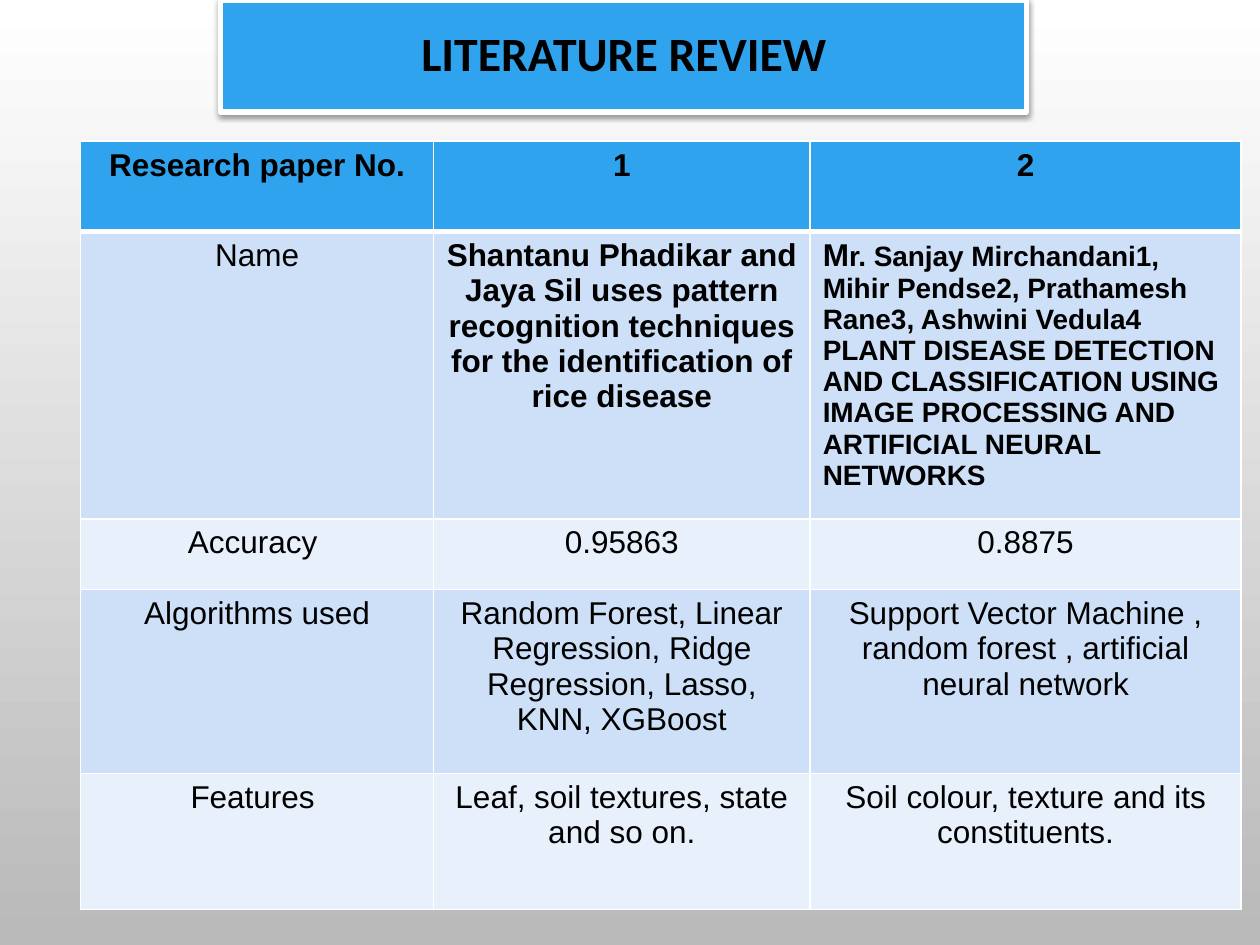
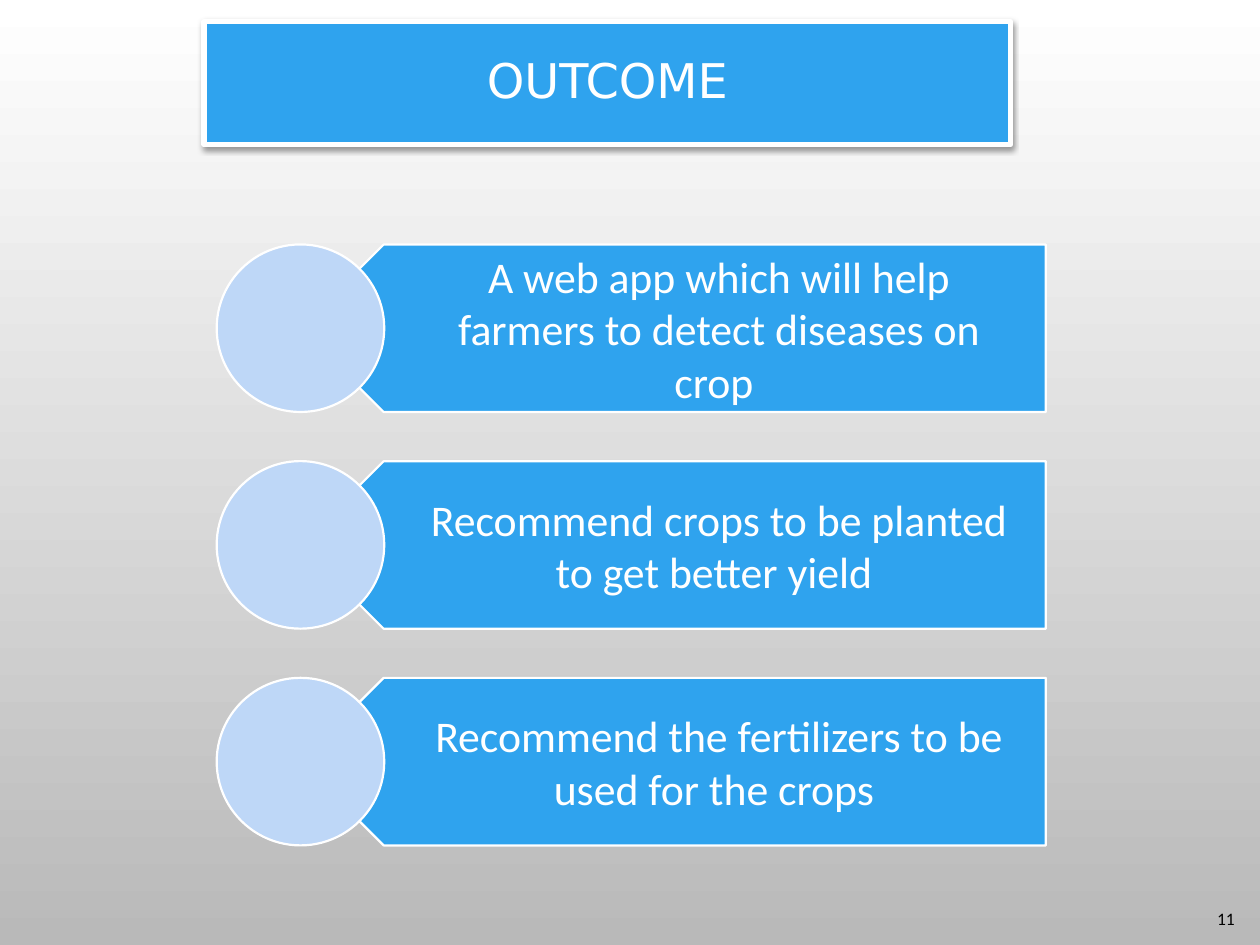
import pptx
import pptx.util
import pptx.dml.color
import pptx.enum.shapes
import pptx.enum.text
import pptx.oxml
import pptx.oxml.ns

Inches = pptx.util.Inches
Pt = pptx.util.Pt
RGBColor = pptx.dml.color.RGBColor
SHAPE = pptx.enum.shapes.MSO_SHAPE
ALIGN = pptx.enum.text.PP_ALIGN
ANCHOR = pptx.enum.text.MSO_ANCHOR

# Shared colours and fonts
BLUE = RGBColor(0x2F, 0xA3, 0xEE)
CIRCLE_BLUE = RGBColor(0xBE, 0xD7, 0xF7)
ROW_DARK = RGBColor(0xCD, 0xE0, 0xF8)
ROW_LIGHT = RGBColor(0xE8, 0xF0, 0xFC)
WHITE = RGBColor(0xFF, 0xFF, 0xFF)
BLACK = RGBColor(0, 0, 0)
GREY = RGBColor(0xB9, 0xB9, 0xB9)
BODY_FONT = "Calibri"
TITLE_FONT = "DejaVu Sans"
TABLE_FONT = "Arial"

COLUMN_WIDTHS = [2.8, 2.99, 3.42]
ROW_HEIGHTS = [0.72, 2.28, 0.56, 1.46, 1.08]
REVIEW_ROWS = [
    ["Research paper No.", "1", "2"],
    ["Name",
     "Shantanu Phadikar and Jaya Sil uses pattern recognition techniques "
     "for the identification of rice disease",
     "Mr. Sanjay Mirchandani1, Mihir Pendse2, Prathamesh Rane3, Ashwini Vedula4 "
     "PLANT DISEASE DETECTION AND CLASSIFICATION USING IMAGE PROCESSING AND "
     "ARTIFICIAL NEURAL NETWORKS"],
    ["Accuracy ", "0.95863", "0.8875"],
    ["Algorithms used",
     "Random Forest, Linear Regression, Ridge Regression, Lasso, KNN, XGBoost",
     "Support Vector Machine , random forest , artificial neural network"],
    ["Features ", "Leaf, soil textures, state and so on.",
     "Soil colour, texture and its constituents."],
]
OUTCOMES = [
    "A web app which will help farmers to detect diseases on crop ",
    "Recommend crops to be planted to get better yield ",
    "Recommend the fertilizers to be used for the crops ",
]


def add_page(deck):
    """Blank page with the white to grey background."""
    page = deck.slides.add_slide(deck.slide_layouts[6])
    fill = page.background.fill
    fill.gradient()
    fill.gradient_angle = 270
    for stop, colour in zip(fill.gradient_stops, (WHITE, GREY)):
        stop.color.rgb = colour
    return page


def add_span(para, text, size, font, colour, bold=False):
    span = para.add_run()
    span.text = text
    span.font.size = Pt(size)
    span.font.name = font
    span.font.color.rgb = colour
    span.font.bold = bold


def set_frame(box, insets=(0.1, 0.05, 0.1, 0.05), align=ALIGN.CENTER):
    """Prepare a wrapped, vertically centred frame and return its paragraph."""
    frame = box.text_frame
    frame.word_wrap = True
    frame.vertical_anchor = ANCHOR.MIDDLE
    (frame.margin_left, frame.margin_top,
     frame.margin_right, frame.margin_bottom) = map(Inches, insets)
    para = frame.paragraphs[0]
    para.alignment = align
    return para


def add_block(page, kind, left, top, width, height, fill, line_width):
    block = page.shapes.add_shape(
        kind, Inches(left), Inches(top), Inches(width), Inches(height))
    block.shadow.inherit = False
    block.fill.solid()
    block.fill.fore_color.rgb = fill
    block.line.color.rgb = WHITE
    block.line.width = Pt(line_width)
    return block


def add_title(page, text, left, top, height, font, colour, bold=False):
    """White-framed blue banner with a soft shadow."""
    banner = add_block(page, SHAPE.RECTANGLE, left, top, 6.4, height, BLUE, 3)
    effects = banner._element.spPr.find(pptx.oxml.ns.qn("a:effectLst"))
    effects.append(pptx.oxml.parse_xml(
        f'<a:outerShdw {pptx.oxml.ns.nsdecls("a")} blurRad="{Pt(3.1)}" '
        f'dist="{Pt(1.6)}" dir="5400000" rotWithShape="0">'
        '<a:srgbClr val="000000"><a:alpha val="38000"/></a:srgbClr></a:outerShdw>'))
    para = set_frame(banner)
    para.line_spacing = 0.9
    add_span(para, text, 27.3, font, colour, bold)


def add_text(page, text, left, top, width, height, size, colour, **frame):
    box = page.shapes.add_textbox(
        Inches(left), Inches(top), Inches(width), Inches(height))
    add_span(set_frame(box, **frame), text, size, BODY_FONT, colour)


def set_borders(cell, bottom, top):
    properties = cell._tc.get_or_add_tcPr()
    widths = {"lnL": 1, "lnR": 1, "lnT": top, "lnB": bottom}
    # Borders come before the fill in the cell properties
    for place, (side, width) in enumerate(widths.items()):
        properties.insert(place, pptx.oxml.parse_xml(
            f'<a:{side} {pptx.oxml.ns.nsdecls("a")} w="{Pt(width)}">'
            f'<a:solidFill><a:srgbClr val="{WHITE}"/></a:solidFill></a:{side}>'))


def add_review_table(page):
    table = page.shapes.add_table(
        len(ROW_HEIGHTS), len(COLUMN_WIDTHS), Inches(0.64), Inches(1.12),
        Inches(sum(COLUMN_WIDTHS)), Inches(sum(ROW_HEIGHTS))).table
    for column, width in zip(table.columns, COLUMN_WIDTHS):
        column.width = Inches(width)
    for row, height in zip(table.rows, ROW_HEIGHTS):
        row.height = Inches(height)

    for r, texts in enumerate(REVIEW_ROWS):
        for c, text in enumerate(texts):
            cell = table.cell(r, c)
            cell.fill.solid()
            cell.fill.fore_color.rgb = (
                BLUE if r == 0 else ROW_DARK if r % 2 else ROW_LIGHT)
            set_borders(cell, bottom=3 if r == 0 else 1, top=3 if r == 1 else 1)
            para = cell.text_frame.paragraphs[0]
            if (r, c) == (1, 2):
                # Long citation: left aligned, with a larger first letter
                para.alignment = ALIGN.LEFT
                spans = [(text[:1], 18), (text[1:], 16)]
            else:
                para.alignment = ALIGN.CENTER
                spans = [(text, 18)]
            bold = r == 0 or (r == 1 and c > 0)
            for part, size in spans:
                add_span(para, part, size, TABLE_FONT, BLACK, bold)


def add_outcome(page, text, top):
    """Left-pointing arrow block with a circle over its tip."""
    size = 1.33
    arrow = add_block(page, SHAPE.PENTAGON, 2.38, top, 5.92, size, BLUE, 1.25)
    arrow.rotation = 180
    add_text(page, text, 2.71, top, 5.59, size, 25, WHITE,
             insets=(0.59, 0.1, 0.19, 0.1))
    add_block(page, SHAPE.OVAL, 1.72, top, size, size, CIRCLE_BLUE, 1.25)


def main():
    deck = pptx.Presentation()
    deck.slide_width = Inches(10)
    deck.slide_height = Inches(7.5)

    # Literature review
    page = add_page(deck)
    add_title(page, "LITERATURE REVIEW", 1.75, 0, 0.89, BODY_FONT, BLACK, bold=True)
    add_review_table(page)

    # Outcome
    page = add_page(deck)
    add_title(page, "OUTCOME", 1.62, 0.17, 0.98, TITLE_FONT, WHITE)
    for i, text in enumerate(OUTCOMES):
        add_outcome(page, text, 1.94 + i * 1.72)
    add_text(page, "11 ", 7.6, 7.15, 2.33, 0.28, 10, BLACK, align=ALIGN.RIGHT)

    deck.save("out.pptx")


main()
